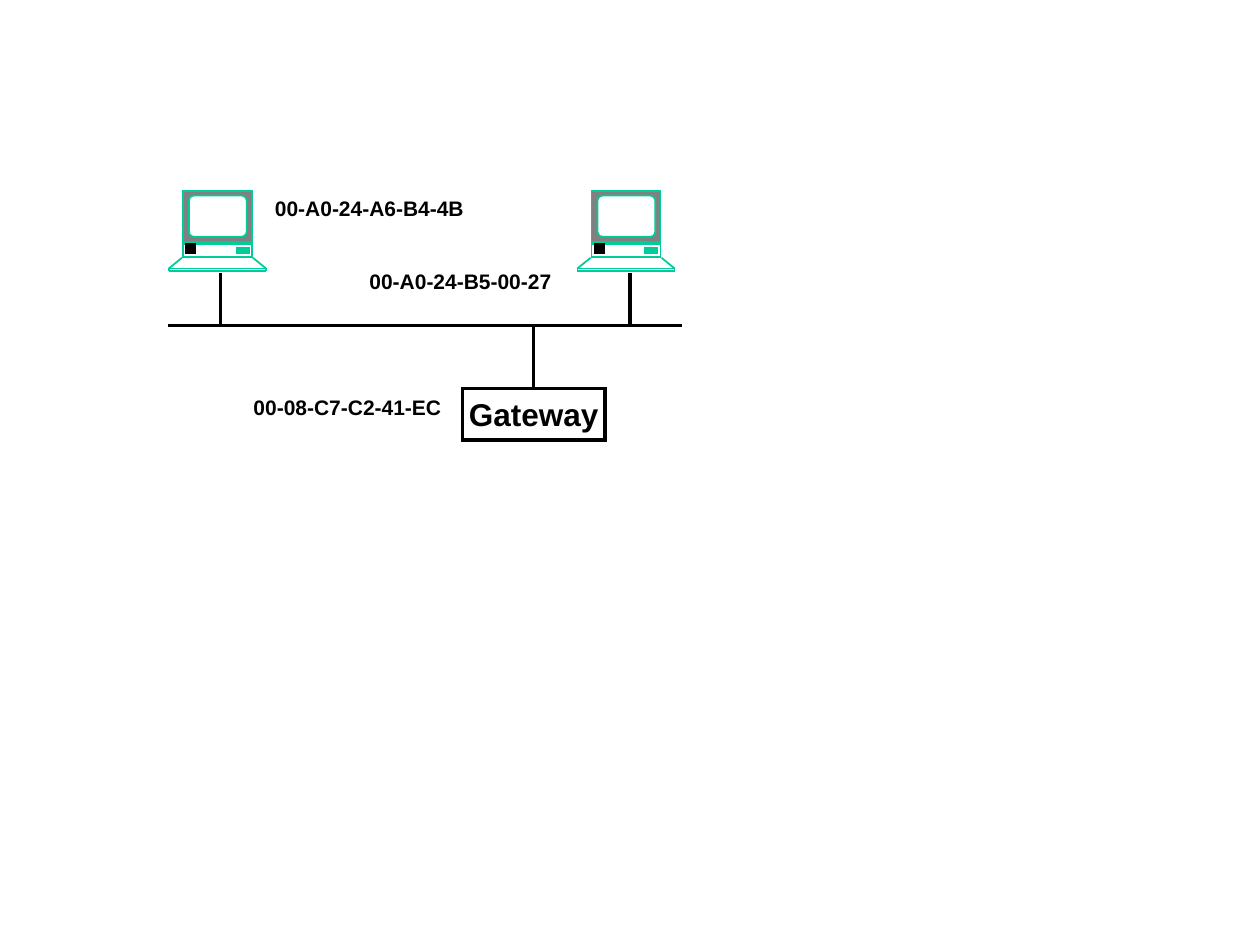
import pptx
import pptx.dml.color
import pptx.enum.shapes
import pptx.enum.text
import pptx.oxml.ns
import pptx.util
from lxml import etree

Pt = pptx.util.Pt
MSO_SHAPE = pptx.enum.shapes.MSO_SHAPE
MSO_CONNECTOR = pptx.enum.shapes.MSO_CONNECTOR
PP_ALIGN = pptx.enum.text.PP_ALIGN
MSO_ANCHOR = pptx.enum.text.MSO_ANCHOR
MSO_AUTO_SIZE = pptx.enum.text.MSO_AUTO_SIZE

FONT = "Arial"
COLORS = {
    "black": "000000",
    "white": "FFFFFF",
    "case": "808080",
    "outline": "00CC99",
}


def rgb(name):
    return pptx.dml.color.RGBColor.from_string(COLORS[name])


def add_box(shapes, kind, left, top, width, height, fill, line, weight):
    sp = shapes.add_shape(kind, Pt(left), Pt(top), Pt(width), Pt(height))
    sp.shadow.inherit = False
    if fill:
        sp.fill.solid()
        sp.fill.fore_color.rgb = rgb(fill)
    else:
        sp.fill.background()
    sp.line.color.rgb = rgb(line)
    sp.line.width = Pt(weight)
    ln = sp._element.spPr.find(pptx.oxml.ns.qn("a:ln"))
    etree.SubElement(ln, pptx.oxml.ns.qn("a:miter"), lim="800000")
    return sp


def add_line(shapes, x1, y1, x2, y2, color, weight):
    cxn = shapes.add_connector(MSO_CONNECTOR.STRAIGHT, Pt(x1), Pt(y1), Pt(x2), Pt(y2))
    cxn.line.color.rgb = rgb(color)
    cxn.line.width = Pt(weight)
    etree.SubElement(cxn._element.spPr, pptx.oxml.ns.qn("a:effectLst"))
    return cxn


def set_text(sp, text, size):
    tf = sp.text_frame
    tf.text = text
    tf.word_wrap = False
    font = tf.paragraphs[0].runs[0].font
    font.name = FONT
    font.size = Pt(size)
    font.bold = True
    font.color.rgb = rgb("black")
    return tf


def add_address(slide, text, left, top, width, height):
    sp = slide.shapes.add_textbox(Pt(left), Pt(top), Pt(width), Pt(height))
    tf = set_text(sp, text, 12)
    tf.auto_size = MSO_AUTO_SIZE.SHAPE_TO_FIT_TEXT


def add_computer(slide, left, top, width, height):
    shapes = slide.shapes.add_group_shape().shapes
    inset = 8
    right, bottom = left + width, top + height
    body_width = width - 2 * inset
    unit_top = top + 30.5
    desk_top, desk_edge = bottom - 7.7, bottom - 1.6

    add_box(shapes, MSO_SHAPE.RECTANGLE, left + inset, top, body_width, 29.5,
            "case", "outline", 1)
    display = add_box(shapes, MSO_SHAPE.ROUNDED_RECTANGLE, left + inset + 3.5, top + 2.7,
                      33, 23.6, "white", "outline", 1)
    display.adjustments[0] = 0.125

    for outer, inner in ((left, left + inset - 0.5), (right, right - inset + 0.5)):
        add_line(shapes, inner, desk_top, outer, desk_edge, "outline", 1)
        add_line(shapes, outer, desk_edge, outer, bottom, "outline", 1)
    for y in (desk_edge, bottom):
        add_line(shapes, left, y, right, y, "outline", 1)

    add_box(shapes, MSO_SHAPE.RECTANGLE, left + inset, unit_top, body_width, 7.5,
            None, "outline", 1)
    add_line(shapes, right - 17.3, unit_top + 3.6, right - 9.4, unit_top + 3.6, "outline", 4)
    add_box(shapes, MSO_SHAPE.RECTANGLE, left + 11.3, unit_top + 1.3, 2.2, 2.2,
            "black", "black", 4)


def add_gateway(slide, left, top, width, height, bus_y):
    sp = add_box(slide.shapes, MSO_SHAPE.RECTANGLE, left, top, width, height,
                 "white", "black", 2)
    tf = set_text(sp, "Gateway", 18)
    tf.vertical_anchor = MSO_ANCHOR.MIDDLE
    tf.paragraphs[0].alignment = PP_ALIGN.CENTER
    center = left + width / 2
    drop = add_line(slide.shapes, center, bus_y, center, top, "black", 2)
    drop.end_connect(sp, 0)


def add_network(slide, left, top, width, height):
    bus_y = top + 77
    add_gateway(slide, left + 168.2, top + 113, 81.6, 29.5, bus_y)
    for offset, drop_x in ((0.5, 30), (234, 264)):
        add_computer(slide, left + offset, top, 55.5, 46)
        add_line(slide.shapes, left + drop_x, top + 47, left + drop_x, bus_y, "black", 2)
    add_line(slide.shapes, left, bus_y, left + width, bus_y, "black", 2)

    for text, x, y, w in (
        ("00-08-C7-C2-41-EC", 41.8, 113, 122),
        ("00-A0-24-A6-B4-4B", 54, -1, 123),
        ("00-A0-24-B5-00-27", 108, 41, 120),
    ):
        add_address(slide, text, left + x, top + y, w, 21.6)


def main():
    prs = pptx.Presentation()
    prs.slide_width, prs.slide_height = Pt(720), Pt(540)
    slide = prs.slides.add_slide(prs.slide_layouts[6])
    add_network(slide, 96, 109, 294, 142.5)
    prs.save("out.pptx")


if __name__ == "__main__":
    main()
